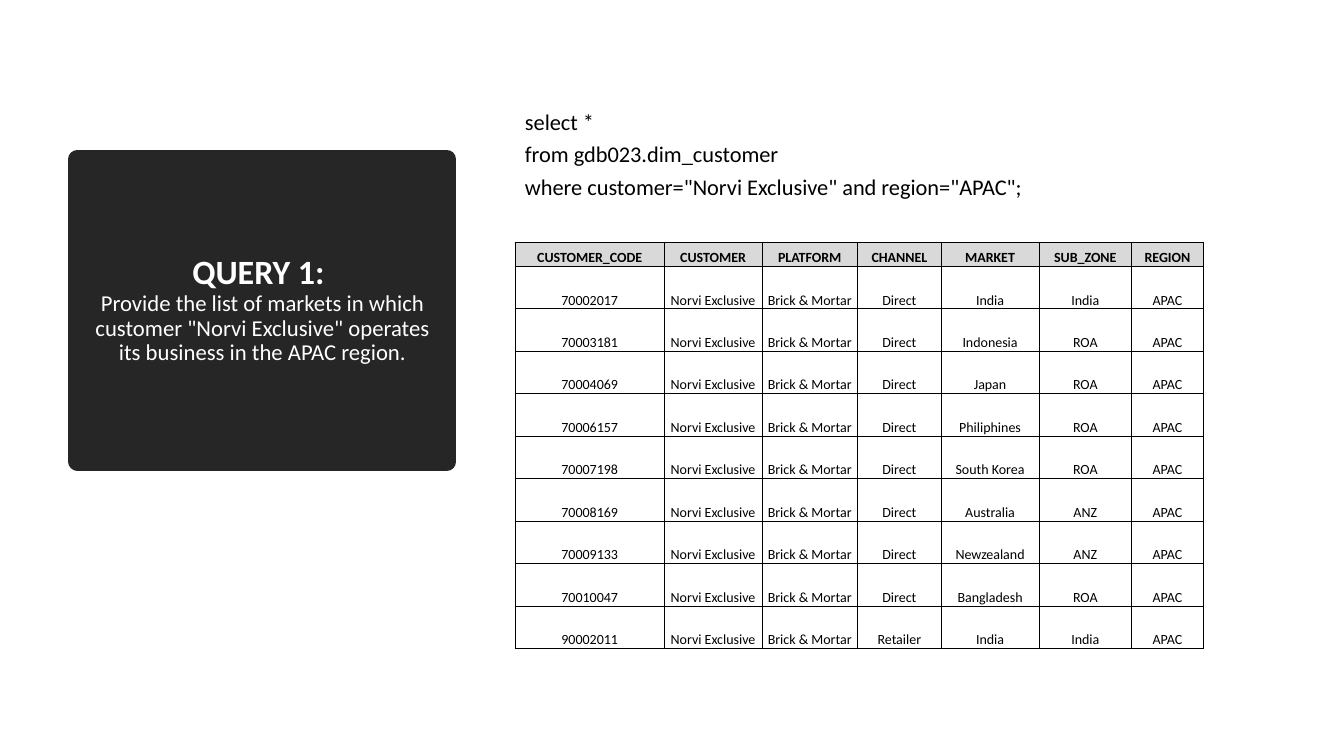
from copy import deepcopy

from lxml import etree
from pptx import Presentation
from pptx.dml.color import RGBColor
from pptx.enum.text import MSO_ANCHOR, MSO_AUTO_SIZE, PP_ALIGN
from pptx.oxml.ns import qn
from pptx.util import Cm, Pt

CENTER = PP_ALIGN.CENTER
MIDDLE = MSO_ANCHOR.MIDDLE
BOTTOM = MSO_ANCHOR.BOTTOM
NO_AUTOFIT = MSO_AUTO_SIZE.NONE
TITLE_ONLY = 5

COLORS = {
    "panel": "262626",
    "header": "D9D9D9",
    "white": "FFFFFF",
    "black": "000000",
}

CUSTOMER = "Norvi Exclusive"
QUESTION = (
    f'Provide the list of markets in which customer "{CUSTOMER}" '
    "operates its business in the APAC region."
)
QUERY_LINES = [
    "select *",
    "from gdb023.dim_customer",
    f'where customer="{CUSTOMER}" and region="APAC";',
]
HEADERS = [
    "CUSTOMER_CODE", "CUSTOMER", "PLATFORM", "CHANNEL",
    "MARKET", "SUB_ZONE", "REGION",
]
MARKETS = [
    ("70002017", "Direct", "India", "India"),
    ("70003181", "Direct", "Indonesia", "ROA"),
    ("70004069", "Direct", "Japan", "ROA"),
    ("70006157", "Direct", "Philiphines", "ROA"),
    ("70007198", "Direct", "South Korea", "ROA"),
    ("70008169", "Direct", "Australia", "ANZ"),
    ("70009133", "Direct", "Newzealand", "ANZ"),
    ("70010047", "Direct", "Bangladesh", "ROA"),
    ("90002011", "Retailer", "India", "India"),
]
COLUMN_WIDTHS = [3.76, 2.46, 2.41, 2.11, 2.46, 2.34, 1.8]
HEADER_HEIGHT = 0.61
ROW_HEIGHT = 1.07


class QuerySlide:
    def __init__(self, presentation, font_name):
        self.font_name = font_name
        self.slide = presentation.slides.add_slide(
            presentation.slide_layouts[TITLE_ONLY]
        )

    def color(self, name):
        return RGBColor.from_string(COLORS[name])

    def format_run(self, run, size, color, bold=False):
        run.font.name = self.font_name
        run.font.size = Pt(size)
        run.font.bold = bold
        run.font.color.rgb = self.color(color)

    def add_title(self, heading, question, left, top, width, height):
        shape = self.slide.shapes.title
        shape.left, shape.top = Cm(left), Cm(top)
        shape.width, shape.height = Cm(width), Cm(height)
        shape.fill.solid()
        shape.fill.fore_color.rgb = self.color("panel")
        shape.line.color.rgb = self.color("panel")
        shape.line.width = Pt(13.75)
        etree.SubElement(shape.line._get_or_add_ln(), qn("a:round"))
        text_frame = shape.text_frame
        text_frame.word_wrap = True
        text_frame.auto_size = NO_AUTOFIT
        text_frame.vertical_anchor = MIDDLE
        paragraph = text_frame.paragraphs[0]
        paragraph.text = f"{heading} \v{question}"
        paragraph.alignment = CENTER
        paragraph.line_spacing = 0.9
        heading_run, question_run = paragraph.runs
        self.format_run(heading_run, 24.3, "white", bold=True)
        self.format_run(question_run, 16.2, "white")
        line_break = paragraph._p.find(qn("a:br"))
        line_break.append(deepcopy(question_run._r.find(qn("a:rPr"))))

    def add_code(self, lines, left, top, width, height):
        shape = self.slide.shapes.add_textbox(
            Cm(left), Cm(top), Cm(width), Cm(height)
        )
        text_frame = shape.text_frame
        text_frame.word_wrap = True
        text_frame.text = "\n".join(lines)
        for paragraph in text_frame.paragraphs:
            paragraph.line_spacing = 0.9
            paragraph.space_after = Pt(6)
            self.format_run(paragraph.runs[0], 16, "black")

    def add_table(self, rows, widths, heights, left, top):
        shape = self.slide.shapes.add_table(
            len(rows), len(widths), Cm(left), Cm(top),
            Cm(sum(widths)), Cm(sum(heights)),
        )
        table = shape.table
        table.horz_banding = False
        for column, width in zip(table.columns, widths):
            column.width = Cm(width)
        for row, height in zip(table.rows, heights):
            row.height = Cm(height)
        for row_index, values in enumerate(rows):
            for column_index, value in enumerate(values):
                cell = table.cell(row_index, column_index)
                self.format_cell(cell, value, is_header=row_index == 0)

    def format_cell(self, cell, value, is_header):
        cell.text_frame.text = value
        cell.vertical_anchor = BOTTOM
        cell.margin_left = cell.margin_right = cell.margin_top = Cm(0.02)
        cell.margin_bottom = Cm(0)
        cell.fill.solid()
        cell.fill.fore_color.rgb = self.color("header" if is_header else "white")
        paragraph = cell.text_frame.paragraphs[0]
        paragraph.alignment = CENTER
        self.format_run(paragraph.runs[0], 10, "black", bold=is_header)
        self.add_borders(cell)

    def add_borders(self, cell):
        properties = cell._tc.get_or_add_tcPr()
        for index, side in enumerate(("lnL", "lnR", "lnT", "lnB")):
            border = etree.Element(qn(f"a:{side}"), w=str(Pt(0.5)))
            fill = etree.SubElement(border, qn("a:solidFill"))
            etree.SubElement(fill, qn("a:srgbClr"), val=COLORS["black"])
            properties.insert(index, border)


def main():
    presentation = Presentation()
    presentation.slide_width = Cm(33.87)
    presentation.slide_height = Cm(19.05)

    query_slide = QuerySlide(presentation, "Calibri")
    query_slide.add_title("QUERY 1:", QUESTION, 1.96, 4.01, 9.3, 7.62)
    query_slide.add_code(QUERY_LINES, 12.98, 2.67, 20.09, 3.43)
    rows = [HEADERS] + [
        (code, CUSTOMER, "Brick & Mortar", channel, market, zone, "APAC")
        for code, channel, market, zone in MARKETS
    ]
    heights = [HEADER_HEIGHT] + [ROW_HEIGHT] * len(MARKETS)
    query_slide.add_table(rows, COLUMN_WIDTHS, heights, 12.98, 6.1)
    presentation.save("out.pptx")


if __name__ == "__main__":
    main()
